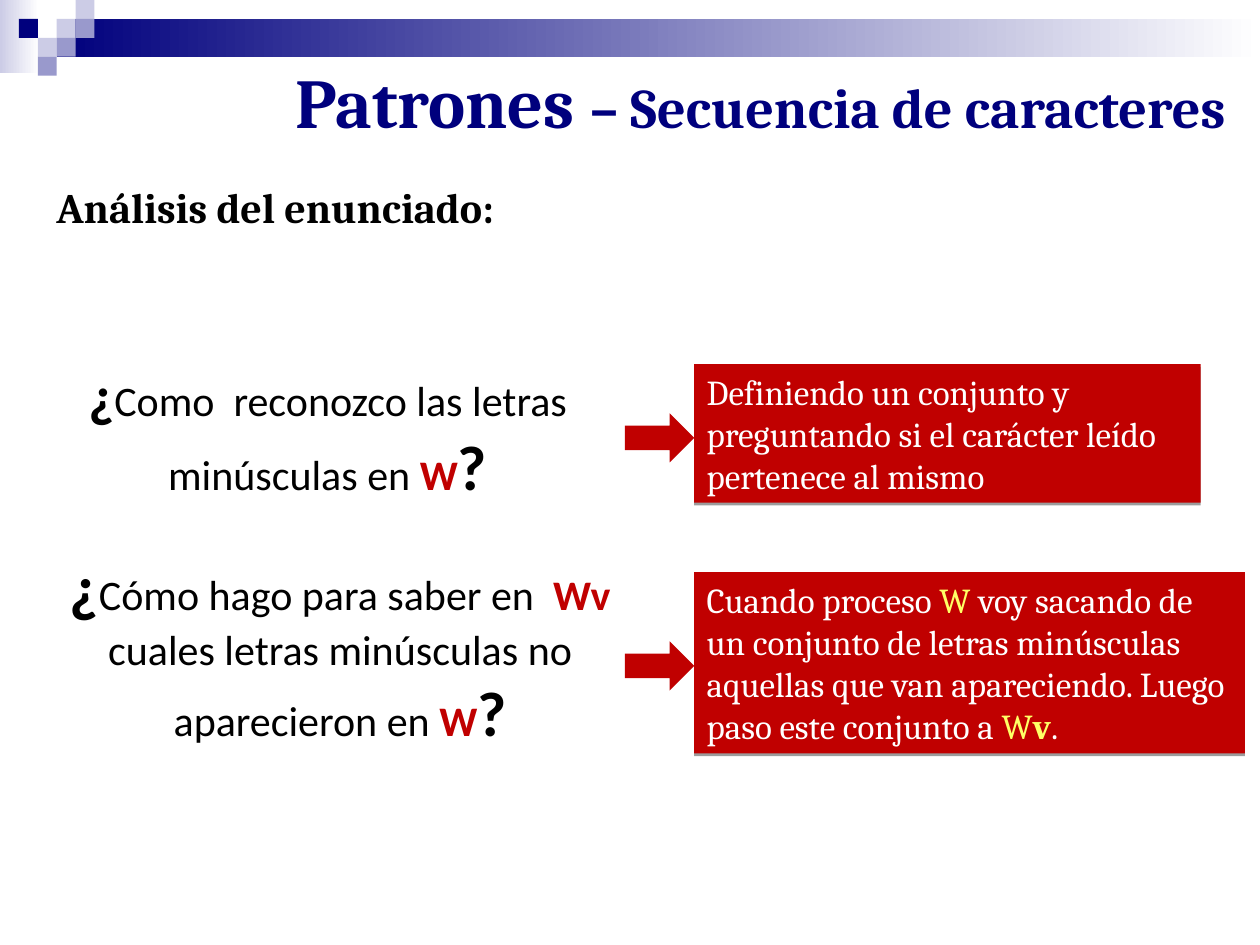
from lxml import etree
from pptx import Presentation
from pptx.dml.color import RGBColor
from pptx.enum.shapes import MSO_SHAPE
from pptx.enum.text import MSO_ANCHOR, MSO_AUTO_SIZE, PP_ALIGN
from pptx.oxml.ns import qn
from pptx.util import Inches, Pt

RECTANGLE = MSO_SHAPE.RECTANGLE
RIGHT_ARROW = MSO_SHAPE.RIGHT_ARROW
LEFT, CENTER, RIGHT = PP_ALIGN.LEFT, PP_ALIGN.CENTER, PP_ALIGN.RIGHT
TOP, BOTTOM = MSO_ANCHOR.TOP, MSO_ANCHOR.BOTTOM
NO_AUTOFIT = MSO_AUTO_SIZE.NONE


def rgb(value):
    return RGBColor.from_string(value)


class PatternSlide:
    navy, lilac, violet = "00007D", "CCCCE6", "9999CC"
    white, black, red, yellow = "FFFFFF", "000000", "C00000", "FFFF66"
    serif, sans = "Cambria", "Calibri"

    def __init__(self, slide):
        self.slide = slide

    def fill_text(self, shape, pieces, font, align=LEFT, anchor=TOP):
        frame = shape.text_frame
        frame.word_wrap = True
        frame.auto_size = NO_AUTOFIT
        frame.vertical_anchor = anchor
        frame.margin_left = frame.margin_right = Inches(0.1)
        frame.margin_top = frame.margin_bottom = Inches(0.05)
        paragraph = frame.paragraphs[0]
        paragraph.alignment = align
        paragraph.space_before = Pt(0)
        for text, size, color, bold in pieces:
            run = paragraph.add_run()
            run.text = text
            run.font.name = font
            run.font.size = Pt(size)
            run.font.bold = bold
            run.font.color.rgb = rgb(color)

    def title(self, box, pieces):
        title = self.slide.shapes.title
        title.left, title.top, title.width, title.height = map(Inches, box)
        self.fill_text(title, pieces, self.serif, RIGHT, BOTTOM)
        title.text_frame.margin_bottom = Inches(0.1)

    def text(self, box, pieces, font, align=LEFT):
        label = self.slide.shapes.add_textbox(*map(Inches, box))
        self.fill_text(label, pieces, font, align)

    def block(self, box, color, preset=RECTANGLE):
        block = self.slide.shapes.add_shape(preset, *map(Inches, box))
        block.shadow.inherit = False
        block.line.fill.background()
        block.fill.solid()
        block.fill.fore_color.rgb = rgb(color)
        return block

    def gradient(self, box, start):
        band = self.block(box, start)
        band.fill.gradient()
        band.fill.gradient_angle = 0
        for stop, color in zip(band.fill.gradient_stops, (start, self.white)):
            stop.color.rgb = rgb(color)

    def answer(self, box, pieces):
        answer = self.block(box, self.red)
        effects = answer.element.spPr.find(qn("a:effectLst"))
        shadow = etree.SubElement(effects, qn("a:outerShdw"), blurRad="0",
                                  dist=str(Pt(1.6)), dir="5400000", rotWithShape="0")
        shade = etree.SubElement(shadow, qn("a:srgbClr"), val=self.black)
        etree.SubElement(shade, qn("a:alpha"), val="38000")
        self.fill_text(answer, pieces, self.serif)

    def arrow(self, top):
        self.block((4.96, top, 0.55, 0.39), self.red, RIGHT_ARROW)


def main():
    deck = Presentation()
    deck.slide_width, deck.slide_height = Inches(10), Inches(7.5)
    page = PatternSlide(deck.slides.add_slide(deck.slide_layouts[5]))
    white, black, red, yellow = page.white, page.black, page.red, page.yellow

    page.gradient((0, 0, 0.31, 0.58), page.lilac)
    page.gradient((0.45, 0.15, 9.55, 0.3), page.navy)
    tile = 0.15
    for column, row, color in (
        (3, 1, page.lilac), (4, 0, page.lilac), (4, 1, page.violet),
        (2, 2, page.lilac), (1, 1, page.navy), (3, 2, page.violet),
        (2, 3, page.violet),
    ):
        page.block((column * tile, row * tile, tile, tile), color)

    page.title((0.46, 0.21, 9.37, 1.02), [
        ("Patrones ", 40, page.navy, True),
        ("– Secuencia de caracteres", 32, page.navy, True),
    ])
    page.text((0.35, 1.39, 9.37, 0.5),
              [("Análisis del enunciado:", 24, black, True)], page.serif)

    page.text((0.2, 2.81, 4.8, 1.24), [
        ("¿", 32, black, True),
        ("Como  reconozco las letras minúsculas en ", 24, black, False),
        ("W", 24, red, True),
        ("?", 36, black, True),
    ], page.sans, CENTER)
    page.text((0.2, 4.3, 5, 1.7), [
        ("¿", 36, black, True),
        ("Cómo hago para saber en  ", 24, black, False),
        ("Wv ", 24, red, True),
        ("cuales letras minúsculas no aparecieron en ", 24, black, False),
        ("W", 24, red, True),
        ("?", 36, black, True),
    ], page.sans, CENTER)

    page.answer((5.51, 2.89, 4.02, 1.1), [
        ("Definiendo un conjunto y preguntando si el carácter leído "
         "pertenece al mismo", 20, white, False),
    ])
    page.answer((5.51, 4.54, 4.37, 1.44), [
        ("Cuando proceso ", 20, white, False),
        ("W", 20, yellow, False),
        (" voy sacando de un conjunto de letras minúsculas aquellas que van "
         "apareciendo. Luego paso este conjunto a ", 20, white, False),
        ("W", 20, yellow, False),
        ("v", 20, yellow, True),
        (".", 20, white, False),
    ])
    for top in (3.28, 5.09):
        page.arrow(top)

    deck.save("out.pptx")


if __name__ == "__main__":
    main()
